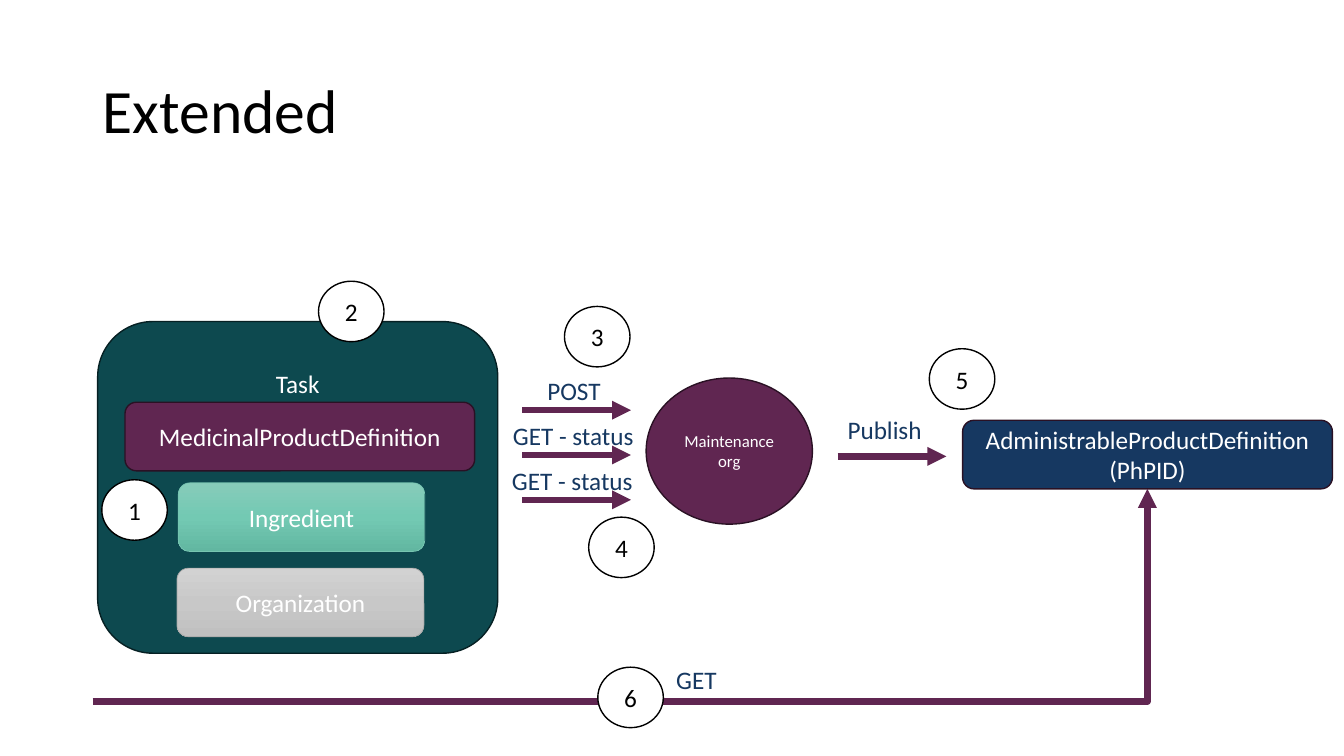
import copy
import dataclasses

import pptx
import pptx.dml.color
import pptx.enum.shapes
import pptx.enum.text
import pptx.oxml
import pptx.oxml.ns
import pptx.util

Pt = pptx.util.Pt
RGB = pptx.dml.color.RGBColor.from_string
SHAPES = pptx.enum.shapes.MSO_SHAPE
CONNECTORS = pptx.enum.shapes.MSO_CONNECTOR
ANCHOR = pptx.enum.text.MSO_ANCHOR
ALIGN = pptx.enum.text.PP_ALIGN


@dataclasses.dataclass(frozen=True)
class Theme:
    font: str = "Calibri"
    title_size: int = 44
    body_size: int = 18
    small_size: int = 12
    white: str = "FFFFFF"
    black: str = "000000"
    teal: str = "0D494F"
    teal_edge: str = "062023"
    plum: str = "602651"
    plum_edge: str = "2A1124"
    navy: str = "163861"
    mint: tuple = ("87CCBA", "73C9B3", "62B7A1")
    mint_edge: str = "77C5B1"
    grey: tuple = ("D2D2D2", "C8C8C8", "C0C0C0")
    grey_edge: str = "A5A5A5"


class Diagram:
    """Draws the elements of one slide in one style."""

    def __init__(self, slide, theme):
        self.slide = slide
        self.theme = theme

    def set_text(self, text_frame, text, size, color, align):
        text_frame.text = text
        text_frame.word_wrap = True
        for paragraph in text_frame.paragraphs:
            paragraph.alignment = align
            for run in paragraph.runs:
                run.font.name = self.theme.font
                run.font.size = Pt(size)
                run.font.color.rgb = RGB(color)

    def label(self, text, left, top, width, height=29, size=None, color=None):
        box = self.slide.shapes.add_textbox(Pt(left), Pt(top), Pt(width), Pt(height))
        self.set_text(box.text_frame, text, size or self.theme.body_size,
                      color or self.theme.navy, ALIGN.LEFT)
        return box

    def gradient(self, shape, colors):
        shape.fill.gradient()
        shape.fill.gradient_angle = 270
        stop_list = shape._element.spPr.find(".//" + pptx.oxml.ns.qn("a:gsLst"))
        stop_list.insert(1, copy.deepcopy(stop_list[0]))
        for index, (stop, color) in enumerate(zip(shape.fill.gradient_stops, colors)):
            stop.position = index / 2
            stop.color.rgb = RGB(color)

    def node(self, kind, text, left, top, width, height, fill, edge,
             size=None, color=None, edge_width=1):
        shape = self.slide.shapes.add_shape(kind, Pt(left), Pt(top), Pt(width), Pt(height))
        shape.shadow.inherit = False
        if isinstance(fill, tuple):
            self.gradient(shape, fill)
        else:
            shape.fill.solid()
            shape.fill.fore_color.rgb = RGB(fill)
        shape.line.color.rgb = RGB(edge)
        shape.line.width = Pt(edge_width)
        shape.text_frame.vertical_anchor = ANCHOR.MIDDLE
        self.set_text(shape.text_frame, text, size or self.theme.body_size,
                      color or self.theme.white, ALIGN.CENTER)
        return shape

    def box(self, text, left, top, width, height, fill, edge, edge_width=1):
        return self.node(SHAPES.ROUNDED_RECTANGLE, text, left, top, width, height,
                         fill, edge, edge_width=edge_width)

    def step(self, number, left, top):
        self.node(SHAPES.OVAL, str(number), left, top, 46.8, 43.2,
                  self.theme.white, self.theme.black, color=self.theme.black)

    def arrow(self, start_x, start_y, end_x, end_y, kind=CONNECTORS.STRAIGHT):
        connector = self.slide.shapes.add_connector(
            kind, Pt(start_x), Pt(start_y), Pt(end_x), Pt(end_y))
        connector.line.color.rgb = RGB(self.theme.plum)
        connector.line.width = Pt(4.5)
        namespace = pptx.oxml.ns.nsdecls("a")
        properties = connector._element.spPr
        properties.find(pptx.oxml.ns.qn("a:ln")).append(
            pptx.oxml.parse_xml(f'<a:tailEnd {namespace} type="triangle"/>'))
        properties.append(pptx.oxml.parse_xml(f"<a:effectLst {namespace}/>"))
        if kind == CONNECTORS.ELBOW:  # a single corner
            geometry = properties.find(pptx.oxml.ns.qn("a:prstGeom"))
            geometry.set("prst", "bentConnector2")


def main():
    presentation = pptx.Presentation()
    presentation.slide_width, presentation.slide_height = Pt(960), Pt(540)
    slide = presentation.slides.add_slide(presentation.slide_layouts[6])
    theme = Theme()
    diagram = Diagram(slide, theme)

    # Title
    title = diagram.label("Extended", 66.2, 28.8, 828, 104.4,
                          theme.title_size, theme.black)
    title.text_frame.vertical_anchor = ANCHOR.MIDDLE
    title.text_frame.paragraphs[0].line_spacing = 0.9

    # Task and the resources inside it
    task = diagram.box("Task", 69.8, 229.7, 285.8, 236.9, theme.teal, theme.teal_edge)
    task.text_frame.vertical_anchor = ANCHOR.TOP
    task.text_frame.margin_top = Pt(21.6)
    diagram.box("MedicinalProductDefinition", 89.3, 287.3, 249.8, 49,
                theme.plum, theme.plum_edge)
    diagram.box("Ingredient", 127.4, 344.9, 176, 49, theme.mint, theme.mint_edge, 0.5)
    diagram.box("Organization", 126.4, 405.8, 176.4, 49, theme.grey, theme.grey_edge, 0.5)

    # Maintenance organisation and the published product
    diagram.node(SHAPES.OVAL, "Maintenance org", 461.5, 270, 118.8, 104.4,
                 theme.plum, theme.plum_edge, theme.small_size)
    diagram.box("AdministrableProductDefinition\n(PhPID)", 687.6, 300.2, 264.2, 49,
                theme.navy, theme.plum_edge)

    # Requests to the maintenance organisation
    requests = [("POST", 383.8, 54), ("GET - status", 359.3, 112.3),
                ("GET - status", 358.6, 112.3)]
    for index, (text, left, width) in enumerate(requests):
        arrow_y = 293 + 32 * index
        diagram.arrow(373, arrow_y, 450.7, arrow_y)
        diagram.label(text, left, arrow_y - 28.5, width)

    # Publishing and retrieval
    diagram.arrow(598.3, 326, 676, 326)
    diagram.label("Publish", 598.3, 292.3, 70.6)
    diagram.arrow(66.2, 501.1, 819.6, 349.2, CONNECTORS.ELBOW)
    diagram.label("GET", 475.9, 470.9, 54)

    # Step numbers
    steps = [(72.7, 342.7), (227.5, 200.9), (403.2, 218.9),
             (420.5, 369.4), (663.8, 249.1), (427, 476.6)]
    for number, (left, top) in enumerate(steps, start=1):
        diagram.step(number, left, top)

    presentation.save("out.pptx")


if __name__ == "__main__":
    main()
